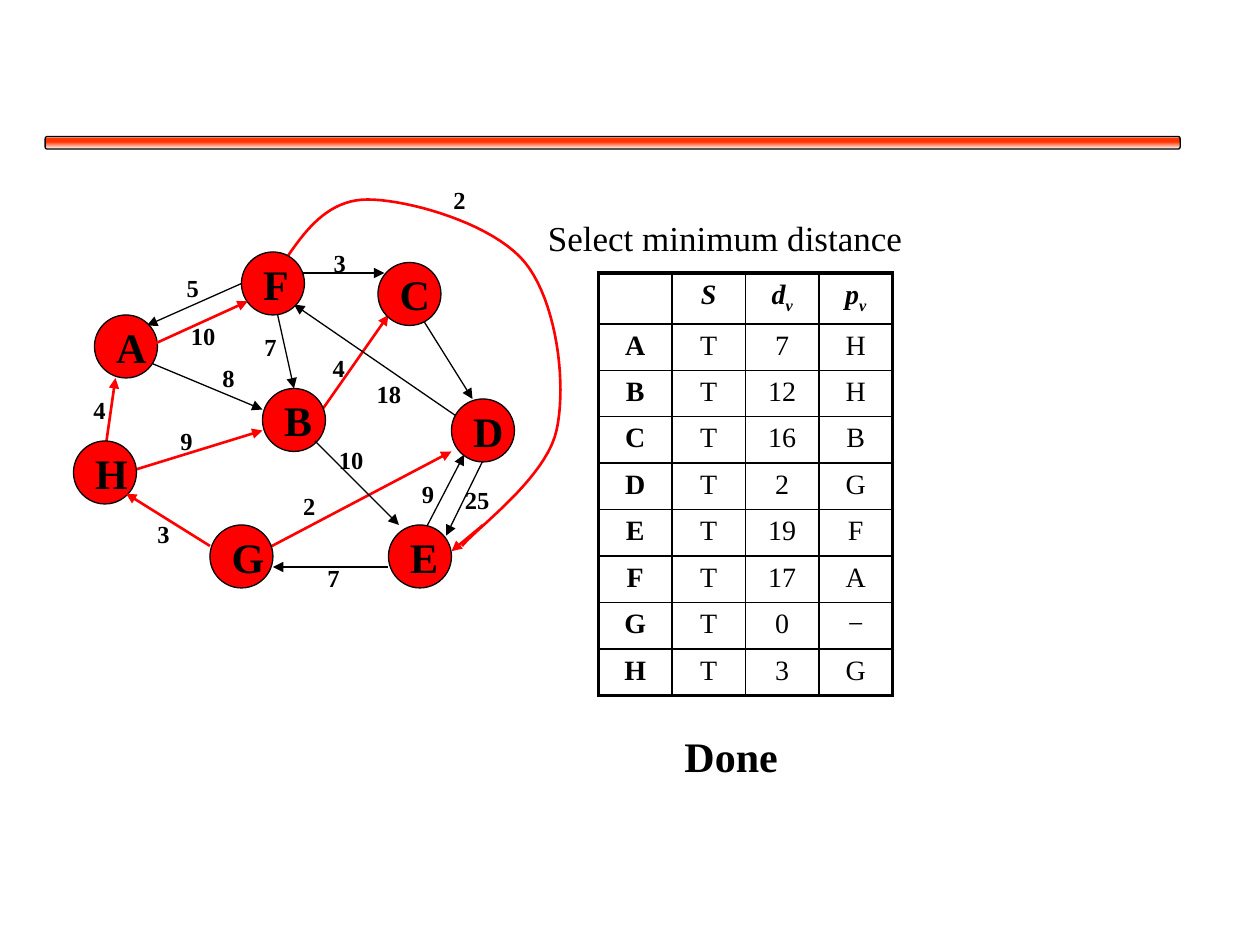
from copy import deepcopy
from dataclasses import dataclass

from lxml.etree import SubElement
from pptx import Presentation
from pptx.dml.color import RGBColor
from pptx.enum.shapes import MSO_CONNECTOR, MSO_SHAPE
from pptx.enum.text import MSO_ANCHOR, PP_ALIGN
from pptx.oxml.ns import qn
from pptx.util import Inches, Pt

COLUMNS, ROWS = 120, 90


@dataclass(frozen=True)
class Theme:
    font: str = "Times New Roman"
    ink: RGBColor = RGBColor(0, 0, 0)
    chosen: RGBColor = RGBColor(255, 0, 0)
    bar: RGBColor = RGBColor(255, 51, 0)
    paper: RGBColor = RGBColor(255, 255, 255)
    node_size: int = 24
    caption_size: int = 20
    cell_size: int = 16
    weight_size: int = 14
    thin: float = 0.75
    rule: float = 1
    thick: float = 1.5
    frame: float = 2.25


class GraphSlide:
    def __init__(self, deck, theme):
        self.theme = theme
        self.slide = deck.slides.add_slide(deck.slide_layouts[6])
        self.shapes = self.slide.shapes
        self.column = deck.slide_width / COLUMNS
        self.row = deck.slide_height / ROWS

    def place(self, x, y):
        return round(x * self.column), round(y * self.row)

    def style(self, paragraph, size, bold=False, italic=False):
        font = paragraph.font
        font.name, font.size = self.theme.font, Pt(size)
        font.bold, font.italic = bold, italic
        font.color.rgb = self.theme.ink

    def stroke(self, line, chosen=False):
        line.color.rgb = self.theme.chosen if chosen else self.theme.ink
        line.width = Pt(self.theme.thick if chosen else self.theme.thin)

    def bar(self, x, y, width, height, stops):
        bar = self.shapes.add_shape(
            MSO_SHAPE.ROUNDED_RECTANGLE, *self.place(x, y), *self.place(width, height))
        bar.shadow.inherit = False
        bar.fill.gradient()
        bar.fill.gradient_angle = 270
        stop_list = bar.fill._xPr.find(qn("a:gradFill")).find(qn("a:gsLst"))
        while len(stop_list) < len(stops):
            stop_list.append(deepcopy(stop_list[0]))
        for stop, (position, color) in zip(bar.fill.gradient_stops, stops):
            stop.position, stop.color.rgb = position, color
        self.stroke(bar.line)

    def curve(self, start, segments, steps=20):
        points = []
        for control_a, control_b, end in segments:
            for step in range(1, steps + 1):
                t = step / steps
                shares = ((1 - t) ** 3, 3 * t * (1 - t) ** 2, 3 * t * t * (1 - t), t ** 3)
                corners = (start, control_a, control_b, end)
                points.append(self.place(*(
                    sum(share * corner[axis] for share, corner in zip(shares, corners))
                    for axis in (0, 1))))
            start = end
        builder = self.shapes.build_freeform(*self.place(*segments_start(points, self)))
        builder.add_line_segments(points, close=False)
        curve = builder.convert_to_shape()
        curve.shadow.inherit = False
        curve.fill.background()
        self.stroke(curve.line, chosen=True)

    def edge(self, start, end, chosen=False):
        edge = self.shapes.add_connector(
            MSO_CONNECTOR.STRAIGHT, *self.place(*start), *self.place(*end))
        self.stroke(edge.line, chosen)
        SubElement(edge.line._get_or_add_ln(), qn("a:tailEnd"), type="triangle")
        SubElement(edge._element.spPr, qn("a:effectLst"))

    def node(self, letter, x, y, size=6):
        node = self.shapes.add_shape(
            MSO_SHAPE.OVAL, *self.place(x, y), *self.place(size, size))
        node.shadow.inherit = False
        node.fill.solid()
        node.fill.fore_color.rgb = self.theme.chosen
        self.stroke(node.line)
        frame = node.text_frame
        frame.word_wrap, frame.vertical_anchor = False, MSO_ANCHOR.MIDDLE
        frame.text = letter
        frame.paragraphs[0].alignment = PP_ALIGN.LEFT
        self.style(frame.paragraphs[0], self.theme.node_size, bold=True)

    def text(self, words, x, y, width, height, size, bold=True):
        frame = self.shapes.add_textbox(
            *self.place(x, y), *self.place(width, height)).text_frame
        frame.word_wrap = True
        frame.text = words
        self.style(frame.paragraphs[0], size, bold)

    def weight(self, value, x, y):
        self.text(value, x, y, 4 if len(value) == 1 else 6.2, 4, self.theme.weight_size)

    def border(self, cell, side, width):
        line = SubElement(cell._tc.get_or_add_tcPr(), qn(f"a:ln{side}"), w=str(Pt(width)))
        fill = SubElement(line, qn("a:solidFill"))
        SubElement(fill, qn("a:srgbClr"), val=str(self.theme.ink))

    def table(self, records, x, y, width, height):
        last_row, last_column = len(records) - 1, len(records[0]) - 1
        table = self.shapes.add_table(
            last_row + 1, last_column + 1, *self.place(x, y), *self.place(width, height)).table
        table.first_row = table.horz_banding = False
        for r, record in enumerate(records):
            for c, entry in enumerate(record):
                cell = table.cell(r, c)
                outer = {"L": c == 0, "R": c == last_column, "T": r == 0, "B": r == last_row}
                for side, framed in outer.items():
                    self.border(cell, side, self.theme.frame if framed else self.theme.rule)
                cell.fill.background()
                paragraph = cell.text_frame.paragraphs[0]
                paragraph.alignment = PP_ALIGN.CENTER
                self.style(paragraph, self.theme.cell_size, r == 0 or c == 0, r == 0)
                symbol, _, subscript = entry.partition("_")
                if symbol:
                    paragraph.add_run().text = symbol
                if subscript:
                    index = paragraph.add_run()
                    index.text = subscript
                    index.font._element.set("baseline", "-25000")


def segments_start(points, page):
    x, y = points[0]
    return x / page.column, y / page.row


NODES = {"A": (9, 30), "H": (7, 42), "B": (25, 37), "F": (23, 24),
         "E": (37, 50), "D": (43, 38), "C": (36, 25), "G": (20, 50)}
EDGES_BEHIND = [
    ((47.4, 41), (42.5, 51)), ((26, 28), (28, 37)), ((30, 40), (37, 30), True),
    ((44, 40), (28, 29)), ((40.1, 51.2), (44.2, 43.3)), ((12, 45), (25, 41), True),
    ((24, 53), (43, 43), True), ((10, 43), (11, 36), True), ((13, 34), (25, 39)),
    ((23, 27), (14, 31)), ((28.6, 26), (36.6, 26)), ((40, 30), (45, 38))]
EDGES_IN_FRONT = [
    ((30, 42), (38, 50)), ((37, 54), (26, 54)), ((20, 52), (12, 47), True),
    ((14.6, 32.8), (23.6, 28.7), True), ((46, 50), (43, 52.5), True)]
LONG_WAY = [((29, 22), (31.2, 19), (35, 19)), ((38.9, 19), (47, 21.3), (50, 25)),
            ((53, 28.7), (54, 36.5), (53, 41)), ((52, 45.5), (45.5, 50.2), (44, 52))]
WEIGHTS = [
    ("25", 43.1, 45.6), ("9", 39, 45), ("7", 30, 53), ("2", 27.7, 46.2),
    ("10", 31.1, 41.8), ("18", 34.7, 35.5), ("2", 42, 17), ("4", 30.5, 33),
    ("3", 30.6, 23), ("7", 24, 31), ("5", 16.6, 25.4), ("8", 20, 34),
    ("9", 16, 40), ("4", 7.7, 37), ("3", 13.8, 48.8), ("10", 17, 30)]
DISTANCES = [("A", "7", "H"), ("B", "12", "H"), ("C", "16", "B"), ("D", "2", "G"),
             ("E", "19", "F"), ("F", "17", "A"), ("G", "0", "−"), ("H", "3", "G")]


def main():
    deck = Presentation()
    deck.slide_width, deck.slide_height = Inches(10), Inches(7.5)
    theme = Theme()
    page = GraphSlide(deck, theme)
    page.bar(4.3, 13, 108.1, 1.2, [
        (0, theme.paper), (0.16, theme.bar), (0.42, theme.bar), (1, theme.paper)])
    page.curve((27, 25), LONG_WAY)
    for edge in EDGES_BEHIND:
        page.edge(*edge)
    for letter, corner in NODES.items():
        page.node(letter, *corner)
    for edge in EDGES_IN_FRONT:
        page.edge(*edge)
    for weight in WEIGHTS:
        page.weight(*weight)
    page.text("Select minimum distance", 51, 20, 39, 5.2, theme.caption_size, bold=False)
    page.table([("", "S", "d_v", "p_v")] + [
        (vertex, "T", distance, previous) for vertex, distance, previous in DISTANCES],
        57, 26, 28, 39.8)
    page.text("Done", 64, 69, 14, 6, theme.node_size)
    deck.save("out.pptx")


if __name__ == "__main__":
    main()
